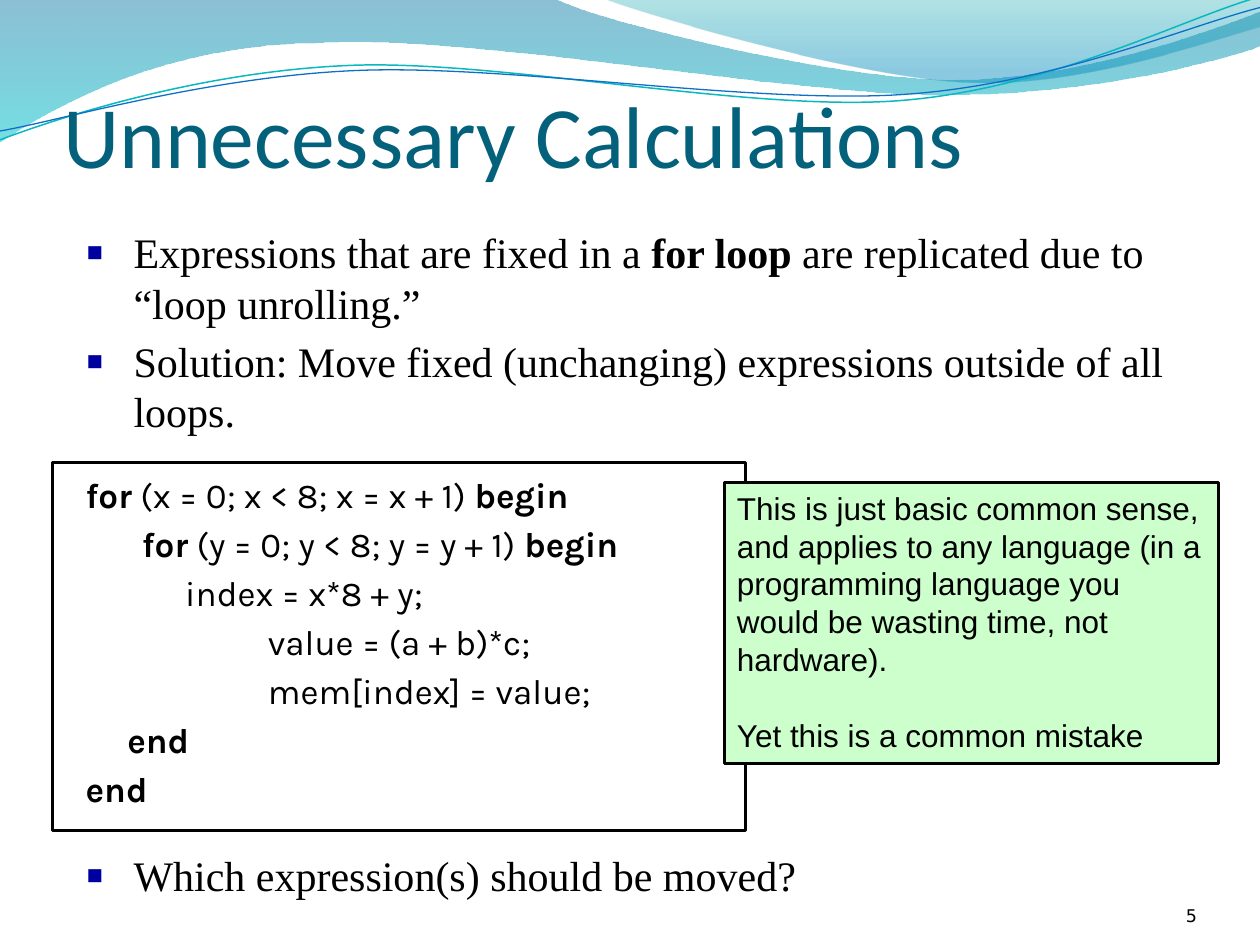
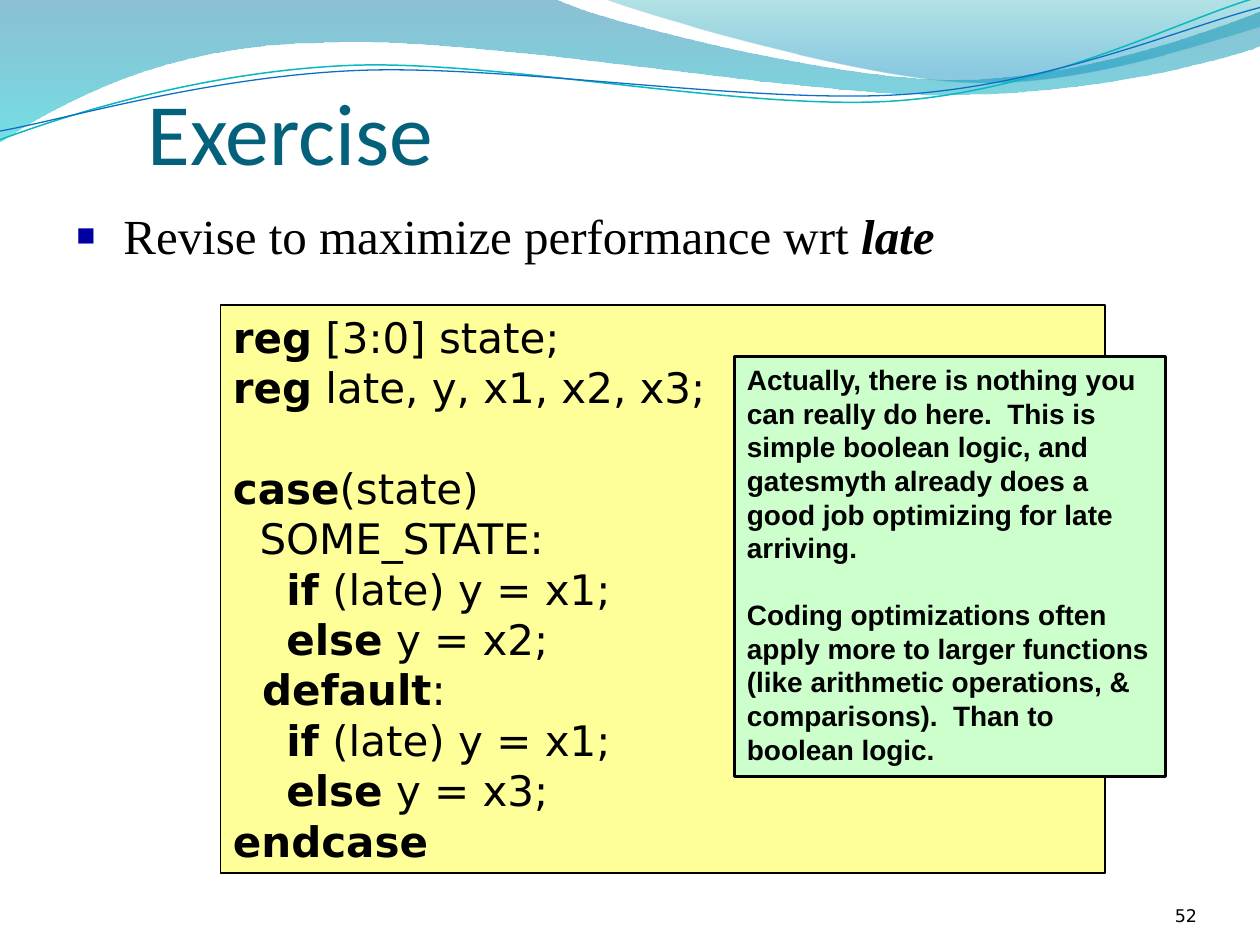
from lxml import etree
from pptx import Presentation
from pptx.dml.color import RGBColor
from pptx.enum.shapes import MSO_SHAPE
from pptx.enum.text import MSO_ANCHOR, MSO_AUTO_SIZE, PP_ALIGN
from pptx.oxml.ns import qn
from pptx.util import Inches, Pt

RECTANGLE = MSO_SHAPE.RECTANGLE
TOP, BOTTOM = MSO_ANCHOR.TOP, MSO_ANCHOR.BOTTOM
LEFT, RIGHT = PP_ALIGN.LEFT, PP_ALIGN.RIGHT
NO_FIT = MSO_AUTO_SIZE.NONE

# Shared look
BLACK, TITLE_COLOR, BULLET_COLOR = "000000", "04617B", "0000A0"
NOTE_FILL, CODE_FILL = "CCFFCC", "FFFF99"
TITLE_FONT, BODY_FONT, NOTE_FONT = "Calibri", "Times New Roman", "Arial"
CODE_FONT, MONITOR_FONT = "Karla", "DejaVu Sans"
HANGING, TAB_SIZE = 0.38, 1
LINE_HEIGHT = 1.2

# Header waves: a start point, then cubic curves (6 numbers) and lines (2 numbers)
WIDE_WAVE = [
    (0, -0.01), (4.4, -0.01),
    (4.76, 0.17, 6.64, 0.63, 7.58, 0.63), (8.53, 0.63, 9.58, 0.26, 10, 0.09),
    (10.01, 0.36),
    (9.83, 0.44, 8.7, 0.76, 7.46, 0.75), (6.22, 0.75, 3.82, 0.28, 2.57, 0.34),
    (1.29, 0.35, 0.46, 0.83, -0.01, 1.13),
]
RIGHT_WAVE = [
    (4.79, -0.01), (5.09, 0.11, 6.82, 0.62, 7.69, 0.65),
    (8.56, 0.69, 9.61, 0.32, 10, 0.21), (10, 0),
]
TEAL_LINE = [
    (0, 1.11), (0.48, 0.93, 1.58, 0.57, 2.77, 0.52),
    (3.95, 0.47, 5.93, 0.89, 7.13, 0.8), (8.33, 0.71, 9.38, 0.15, 9.98, -0.02),
]
BLUE_LINE = [
    (0, 1.04), (0.47, 0.96, 1.64, 0.61, 2.83, 0.56),
    (4.03, 0.51, 5.97, 0.83, 7.17, 0.75), (8.36, 0.67, 9.41, 0.21, 10, 0.06),
]

# In the texts below, ** switches bold on and off
LOOP_CODE = [
    "**for** (x = 0; x < 8; x = x + 1) **begin**",
    "\t **for** (y = 0; y < 8; y = y + 1) **begin**",
    "            index = x*8 + y;",
    "\t\t value = (a + b)*c;",
    "\t\t mem[index] = value;",
    "     **end**",
    "**end**",
]
DECLARATIONS = ["**reg** [3:0] state;", "**reg** late, y, x1, x2, x3;"]
CASE_CODE = [
    "**case**(state)",
    "  SOME_STATE:",
    "    **if** (late) y = x1;",
    "    **else** y = x2;",
    "**  default**:",
    "    **if** (late) y = x1;",
    "    **else** y = x3;",
    "**endcase**",
]


def rgb(hex_color):
    return RGBColor.from_string(hex_color)


def place(shape, left, top, width, height):
    shape.left, shape.top = Inches(left), Inches(top)
    shape.width, shape.height = Inches(width), Inches(height)


def style(para, font, size, color=BLACK, bold=None):
    para.font.name, para.font.size = font, Pt(size)
    para.font.color.rgb = rgb(color)
    para.font.bold = bold


def hang(para):
    properties = para._p.get_or_add_pPr()
    properties.set("marL", str(Inches(HANGING)))
    properties.set("indent", str(-Inches(HANGING)))
    properties.set("defTabSz", str(Inches(TAB_SIZE)))
    return properties


def add_bullet(para):
    properties = hang(para)
    color = etree.SubElement(properties, qn("a:buClr"))
    etree.SubElement(color, qn("a:srgbClr"), val=BULLET_COLOR)
    etree.SubElement(properties, qn("a:buSzPct"), val="125000")
    etree.SubElement(properties, qn("a:buFont"), typeface=BODY_FONT)
    etree.SubElement(properties, qn("a:buChar"), char="▪")


def add_spans(para, text):
    for index, part in enumerate(text.split("**")):
        if part:
            span = para.add_run()
            span.text = part
            if index % 2:
                span.font.bold = True


def next_para(frame, index):
    return frame.add_paragraph() if index else frame.paragraphs[0]


def write_lines(frame, lines, font, size, gaps=None, hanging=False, bold=None):
    """Write one paragraph a line; gaps maps a line number to its space before."""
    for index, line in enumerate(lines):
        para = next_para(frame, index)
        para.alignment = LEFT
        if hanging:
            hang(para)
        if gaps and index in gaps:
            para.space_before = Pt(gaps[index])
        style(para, font, size, bold=bold)
        add_spans(para, line)


def add_outline(page, segments, closed):
    """Draw all points as a polygon, then join the points of each curve."""
    points = [(Inches(x), Inches(y)) for segment in segments
              for x, y in zip(segment[::2], segment[1::2])]
    builder = page.shapes.build_freeform(*points[0])
    builder.add_line_segments(points[1:], close=closed)
    outline = builder.convert_to_shape()
    outline.shadow.inherit = False
    steps = iter(list(outline.element.iter(qn("a:lnTo"))))
    for segment in segments[1:]:
        first = next(steps)
        if len(segment) == 6:
            first.tag = qn("a:cubicBezTo")
            for _ in range(2):
                step = next(steps)
                first.append(step[0])
                step.getparent().remove(step)
    return outline


def add_wave(page, segments, stops):
    wave = add_outline(page, segments, True)
    wave.line.fill.background()
    wave.fill.gradient()
    wave.fill.gradient_angle = 270
    for stop, (position, color, opacity) in zip(wave.fill.gradient_stops, stops):
        stop.position = position
        stop.color.rgb = rgb(color)
        value = stop._gs.find(qn("a:srgbClr"))
        etree.SubElement(value, qn("a:alpha"), val=str(opacity * 1000))
    return wave


def add_curve(page, segments, color, weight):
    curve = add_outline(page, segments, False)
    curve.fill.background()
    curve.line.color.rgb = rgb(color)
    curve.line.width = Pt(weight)
    return curve


def decorate_master(deck, page):
    """Draw the header waves and move them to the slide master."""
    header = [
        add_wave(page, WIDE_WAVE, [(0, "0074A1", 45), (1, "00C6CF", 55)]),
        add_wave(page, RIGHT_WAVE, [(0, "00A1A9", 30), (0.8, "008BBF", 45)]),
        add_curve(page, TEAL_LINE, "0AB8BF", 0.85),
        add_curve(page, BLUE_LINE, "0F6FC6", 0.75),
    ]
    master_tree = deck.slide_master.shapes.element
    for index, shape in enumerate(header):
        master_tree.insert(2 + index, shape.element)


def set_title(page, text, left, top, width):
    title = page.shapes.title
    place(title, left, top, width, 1.25)
    frame = title.text_frame
    frame.auto_size, frame.vertical_anchor = NO_FIT, BOTTOM
    frame.margin_left = frame.margin_right = frame.margin_bottom = 0
    para = frame.paragraphs[0]
    para.alignment = LEFT
    style(para, TITLE_FONT, 50, TITLE_COLOR)
    add_spans(para, text)


def fill_bullets(body, area, items, size):
    place(body, *area)
    frame = body.text_frame
    frame.auto_size, frame.vertical_anchor = NO_FIT, TOP
    for index, item in enumerate(items):
        para = next_para(frame, index)
        add_bullet(para)
        para.space_before = Pt(4.5 if index else 0)
        style(para, BODY_FONT, size)
        add_spans(para, item)


def add_panel(page, area, fill=None, weight=1.75):
    panel = page.shapes.add_shape(RECTANGLE, *map(Inches, area))
    panel.shadow.inherit = False
    if fill:
        panel.fill.solid()
        panel.fill.fore_color.rgb = rgb(fill)
    else:
        panel.fill.background()
    panel.line.color.rgb = rgb(BLACK)
    panel.line.width = Pt(weight)
    panel.text_frame.word_wrap = True
    panel.text_frame.vertical_anchor = TOP
    return panel


def add_note(page, area, paragraphs, size, bold=None):
    note = add_panel(page, area, NOTE_FILL)
    write_lines(note.text_frame, paragraphs, NOTE_FONT, size,
                gaps={1: size * LINE_HEIGHT}, bold=bold)


def add_page_number(page, number):
    box = page.shapes.add_textbox(*map(Inches, (8.67, 6.95, 0.83, 0.4)))
    frame = box.text_frame
    frame.word_wrap, frame.vertical_anchor = True, BOTTOM
    frame.margin_left = frame.margin_right = frame.margin_top = frame.margin_bottom = 0
    para = frame.paragraphs[0]
    para.alignment = RIGHT
    style(para, MONITOR_FONT, 10)
    add_spans(para, str(number))


def build_calculations(page):
    set_title(page, "Unnecessary Calculations", 0.5, 0.23, 9)
    points, question = page.placeholders[1], page.placeholders[2]
    fill_bullets(points, (0.58, 1.75, 9, 1.92), [
        "Expressions that are fixed in a **for loop** are replicated due to “loop unrolling.”",
        "Solution: Move fixed (unchanging) expressions outside of all loops.",
    ], 24)
    fill_bullets(question, (0.58, 6.69, 9, 0.5),
                 ["Which expression(s) should be moved?"], 24)
    # Nested loop
    code = add_panel(page, (0.42, 3.67, 5.5, 2.92)).text_frame
    code.margin_left, code.margin_top = Inches(0.26), Inches(0.09)
    write_lines(code, LOOP_CODE, CODE_FONT, 20, hanging=True,
                gaps={line: 4 for line in range(1, len(LOOP_CODE))})
    add_note(page, (5.75, 3.83, 3.92, 2.23), [
        "This is just basic common sense, and applies to any language (in a programming "
        "language you would be wasting time, not hardware).",
        "Yet this is a common mistake",
    ], 18)
    add_page_number(page, 5)


def build_exercise(page):
    set_title(page, "Exercise", 1.17, 0.2, 8.5)
    task = page.placeholders[1]
    fill_bullets(task, (0.5, 1.58, 9.25, 0.7),
                 ["Revise to maximize performance wrt **late**"], 28)
    task.text_frame.paragraphs[0].runs[-1].font.italic = True
    # State machine
    code = add_panel(page, (1.75, 2.42, 7.02, 4.51), CODE_FILL, 1).text_frame
    write_lines(code, DECLARATIONS + CASE_CODE, MONITOR_FONT, 24,
                gaps={len(DECLARATIONS): 24 * LINE_HEIGHT})
    add_note(page, (5.83, 2.83, 3.42, 3.33), [
        "Actually, there is nothing you can really do here.  This is simple boolean logic, "
        "and gatesmyth already does a good job optimizing for late arriving.",
        "Coding optimizations often apply more to larger functions (like arithmetic "
        "operations, & comparisons).  Than to boolean logic.",
    ], 16, bold=True)
    add_page_number(page, 52)


def main():
    deck = Presentation()
    deck.slide_width, deck.slide_height = Inches(10), Inches(7.5)
    one_body, two_bodies = deck.slide_layouts[1], deck.slide_layouts[3]
    calculations = deck.slides.add_slide(two_bodies)
    decorate_master(deck, calculations)
    build_calculations(calculations)
    build_exercise(deck.slides.add_slide(one_body))
    deck.save("out.pptx")


if __name__ == "__main__":
    main()
